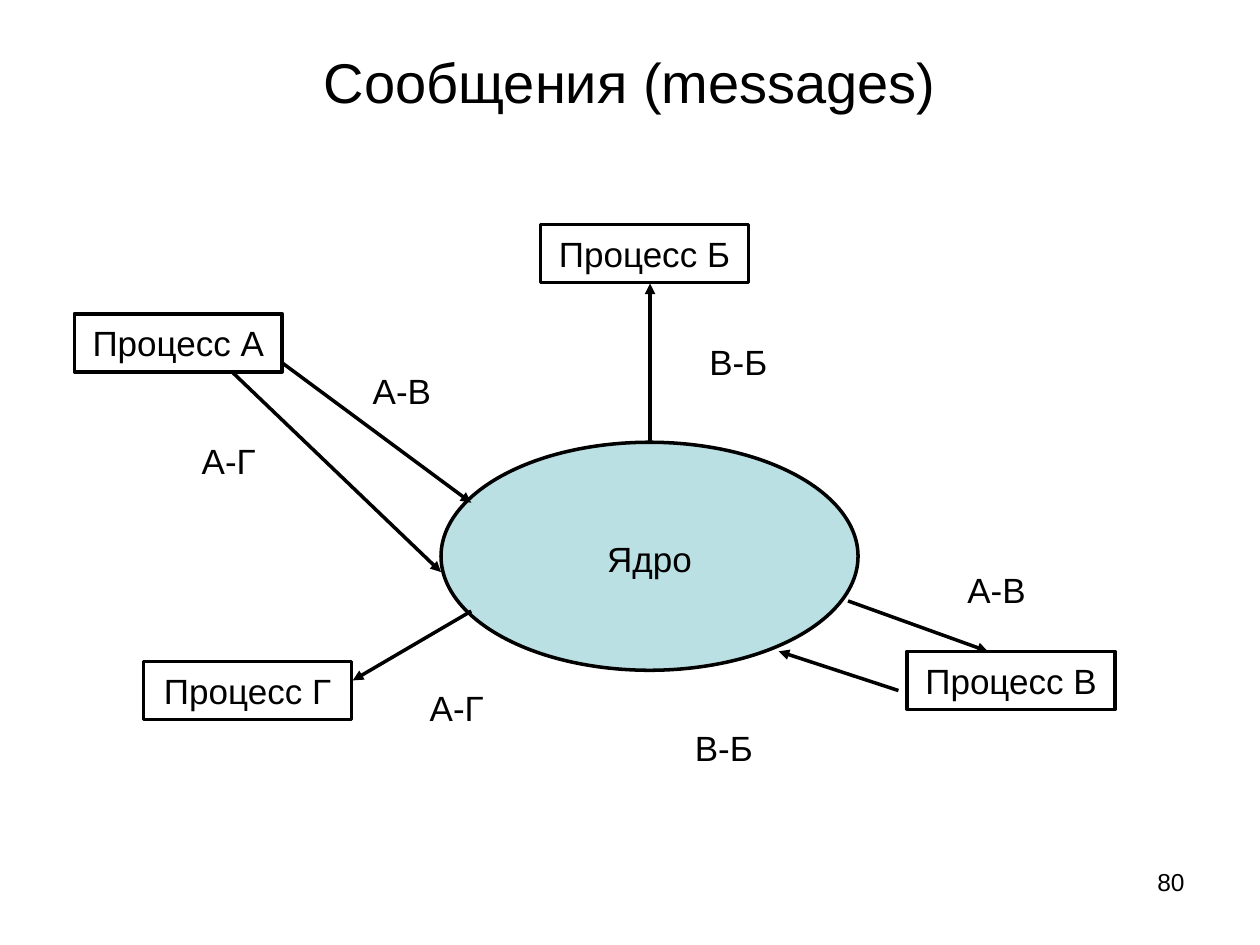
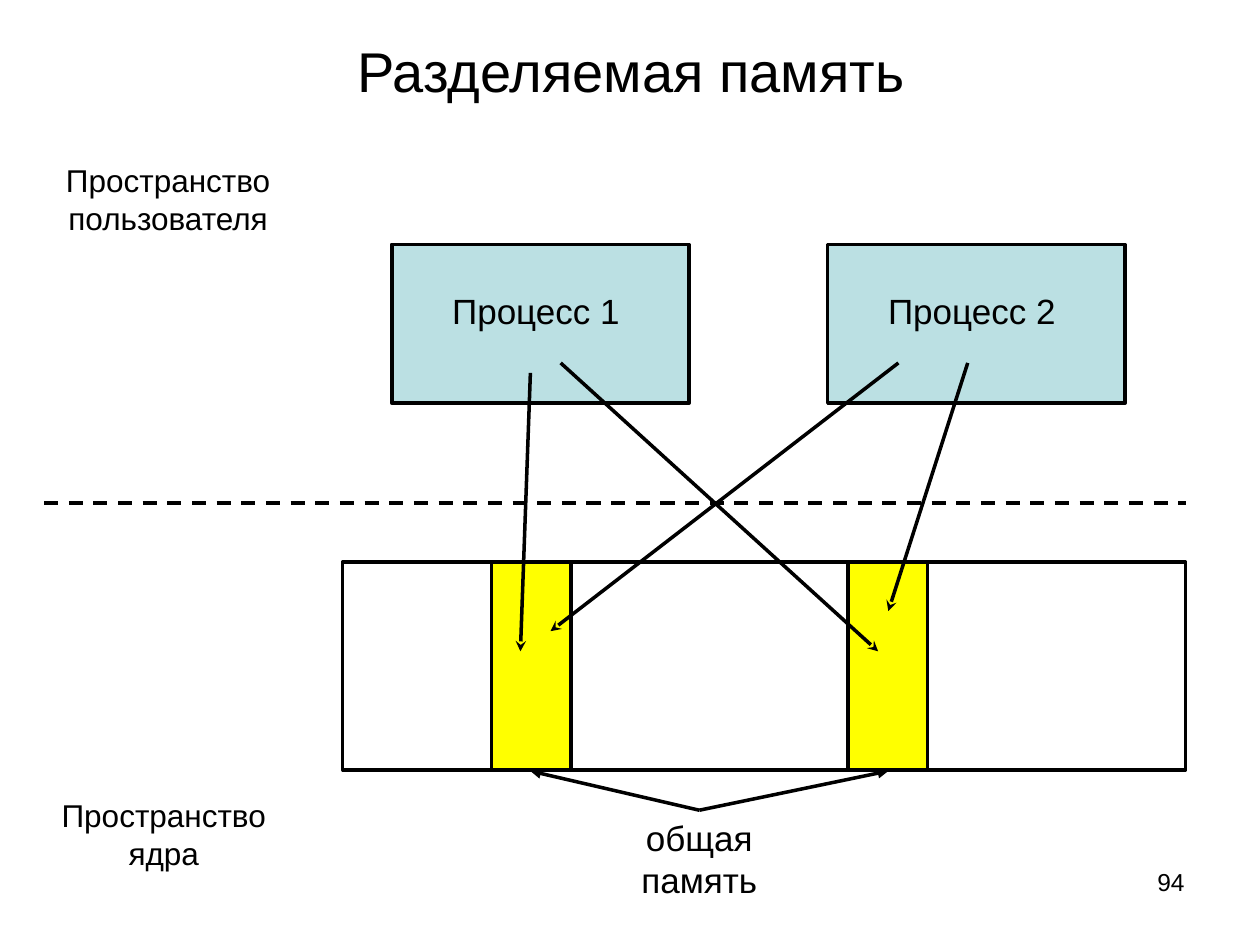
from dataclasses import dataclass

import pptx
import pptx.dml.color
import pptx.enum.dml
import pptx.enum.shapes
import pptx.enum.text
import pptx.oxml.ns
import pptx.oxml.xmlchemy
import pptx.presentation
import pptx.shapes.connector
import pptx.shapes.shapetree
import pptx.slide
import pptx.text.text
import pptx.util

Pt = pptx.util.Pt
Align = pptx.enum.text.PP_ALIGN
Anchor = pptx.enum.text.MSO_ANCHOR
Outline = pptx.enum.shapes.MSO_SHAPE
Shapes = pptx.shapes.shapetree.SlideShapes | pptx.shapes.shapetree.GroupShapes

FONT = "Arial"
INK = "000000"
PALE_BLUE = "BBE0E3"
YELLOW = "FFFF00"
LINE_WIDTH = 2
PROCESS_SIZE = (118.8, 33.2)
LABEL_HEIGHT = 31


@dataclass(frozen=True)
class Figure:
    left: float
    top: float
    width: float
    height: float
    fill: str = ""
    text: str = ""
    outline: Outline = Outline.RECTANGLE


@dataclass(frozen=True)
class Label:
    text: str
    left: float
    top: float
    width: float
    height: float = LABEL_HEIGHT
    size: float = 20
    align: Align = Align.CENTER


@dataclass(frozen=True)
class Arrow:
    start: tuple[float, float]
    end: tuple[float, float]
    head: str = "triangle"


def colour(value: str) -> pptx.dml.color.RGBColor:
    return pptx.dml.color.RGBColor.from_string(value)


def write(frame: pptx.text.text.TextFrame, text: str, size: float, align: Align) -> None:
    frame.text = text
    frame.word_wrap = True
    para = frame.paragraphs[0]
    para.alignment = align
    for span in para.runs:
        span.font.name = FONT
        span.font.size = Pt(size)
        span.font.color.rgb = colour(INK)


def draw_label(shapes: Shapes, label: Label) -> None:
    box = shapes.add_textbox(Pt(label.left), Pt(label.top), Pt(label.width), Pt(label.height))
    write(box.text_frame, label.text, label.size, label.align)


def draw_figure(shapes: Shapes, figure: Figure) -> None:
    shape = shapes.add_shape(figure.outline, Pt(figure.left), Pt(figure.top),
                             Pt(figure.width), Pt(figure.height))
    shape.shadow.inherit = False
    if figure.fill:
        shape.fill.solid()
        shape.fill.fore_color.rgb = colour(figure.fill)
    else:
        shape.fill.background()
    shape.line.color.rgb = colour(INK)
    shape.line.width = Pt(LINE_WIDTH)
    if figure.text:
        write(shape.text_frame, figure.text, 20, Align.CENTER)
        shape.text_frame.vertical_anchor = Anchor.MIDDLE


def draw_line(shapes: Shapes, start: tuple[float, float],
              end: tuple[float, float]) -> pptx.shapes.connector.Connector:
    line = shapes.add_connector(pptx.enum.shapes.MSO_CONNECTOR.STRAIGHT,
                                *(Pt(value) for value in start + end))
    line.line.color.rgb = colour(INK)
    line.line.width = Pt(LINE_WIDTH)
    line._element.spPr.append(pptx.oxml.xmlchemy.OxmlElement("a:effectLst"))
    return line


def draw_arrow(shapes: Shapes, arrow: Arrow) -> None:
    line = draw_line(shapes, arrow.start, arrow.end)
    head = pptx.oxml.xmlchemy.OxmlElement("a:tailEnd")
    head.set("type", arrow.head)
    line._element.spPr.find(pptx.oxml.ns.qn("a:ln")).append(head)


def add_page(deck: pptx.presentation.Presentation, title: str, left: float, top: float,
             number: int) -> pptx.slide.Slide:
    page = deck.slides.add_slide(deck.slide_layouts[5])
    heading = page.shapes.title
    heading.left, heading.top, heading.width, heading.height = map(Pt, (left, top, 648, 49.7))
    write(heading.text_frame, title, 32, Align.CENTER)
    heading.text_frame.vertical_anchor = Anchor.MIDDLE
    draw_label(page.shapes, Label(str(number), 516.2, 491.8, 167.8, 37.4, 14, Align.RIGHT))
    return page


def build_messages(deck: pptx.presentation.Presentation) -> None:
    shapes = add_page(deck, "Сообщения (messages)", 36, 21.6, 80).shapes
    draw_figure(shapes, Figure(252, 252.7, 238.3, 130.3, PALE_BLUE, outline=Outline.OVAL))

    processes = {"А": (42.5, 179.3), "Г": (82.1, 378), "Б": (308.9, 128.2), "В": (518.4, 372.2)}
    for name, corner in processes.items():
        draw_figure(shapes, Figure(*corner, *PROCESS_SIZE, text=f"Процесс {name}"))

    for arrow in (
        Arrow((161.3, 207.4), (269.3, 287.3)),
        Arrow((484.6, 343.4), (564.5, 372.2)),
        Arrow((133.2, 213.1), (252, 326.9)),
        Arrow((269.3, 349.2), (201.6, 388.8)),
        Arrow((513.4, 394.6), (445, 372.2)),
        Arrow((371.5, 252.7), (371.5, 162)),
    ):
        draw_arrow(shapes, arrow)

    for label in (
        Label("Ядро", 303.1, 303.8, 136.1),
        Label("А-В", 190.1, 207.4, 79.2),
        Label("А-В", 529.9, 321.1, 79.2),
        Label("А-Г", 99.4, 247.7, 62.6),
        Label("А-Г", 229.7, 388.8, 62.6),
        Label("В-Б", 388.1, 411.8, 51.1),
        Label("В-Б", 382.3, 190.8, 79.2),
    ):
        draw_label(shapes, label)


def build_shared_memory(deck: pptx.presentation.Presentation) -> None:
    shapes = add_page(deck, "Разделяемая память", 36.7, 15.1, 94).shapes
    border = draw_line(shapes, (25.2, 287.3), (677.5, 287.3))
    border.line.dash_style = pptx.enum.dml.MSO_LINE.DASH

    for number, left in enumerate((223.9, 473), start=1):
        process = shapes.add_group_shape().shapes
        draw_figure(process, Figure(left, 139.7, 169.9, 90.7, PALE_BLUE))
        draw_label(process, Label(f"Процесс {number}", left + 11.5, 162, 141.8))

    memory_top, memory_height = 321.1, 118.8
    draw_figure(shapes, Figure(195.8, memory_top, 481.7, memory_height))
    for left in (280.8, 484.6):
        draw_figure(shapes, Figure(left, memory_top, 45.4, memory_height, YELLOW))

    for label in (
        Label("Пространство пользователя", 25.2, 88.6, 141.8, 50.4, 18),
        Label("Пространство ядра", 14.4, 451.4, 158.4, 50.4, 18),
        Label("общая память", 348.5, 463, 102.2, 55.4),
    ):
        draw_label(shapes, label)

    caption_top = (399.6, 463)
    for arrow in (
        Arrow(caption_top, (303.1, 440.6)),
        Arrow(caption_top, (507.6, 440.6)),
        Arrow((303.1, 213.1), (297.4, 372.2), "stealth"),
        Arrow((553, 207.4), (507.6, 349.2), "stealth"),
        Arrow((320.4, 207.4), (501.8, 372.2), "stealth"),
        Arrow((513.4, 207.4), (314.6, 360.7), "stealth"),
    ):
        draw_arrow(shapes, arrow)


def main() -> None:
    deck = pptx.Presentation()
    deck.slide_width, deck.slide_height = Pt(720), Pt(540)
    build_messages(deck)
    build_shared_memory(deck)
    deck.save("out.pptx")


if __name__ == "__main__":
    main()
